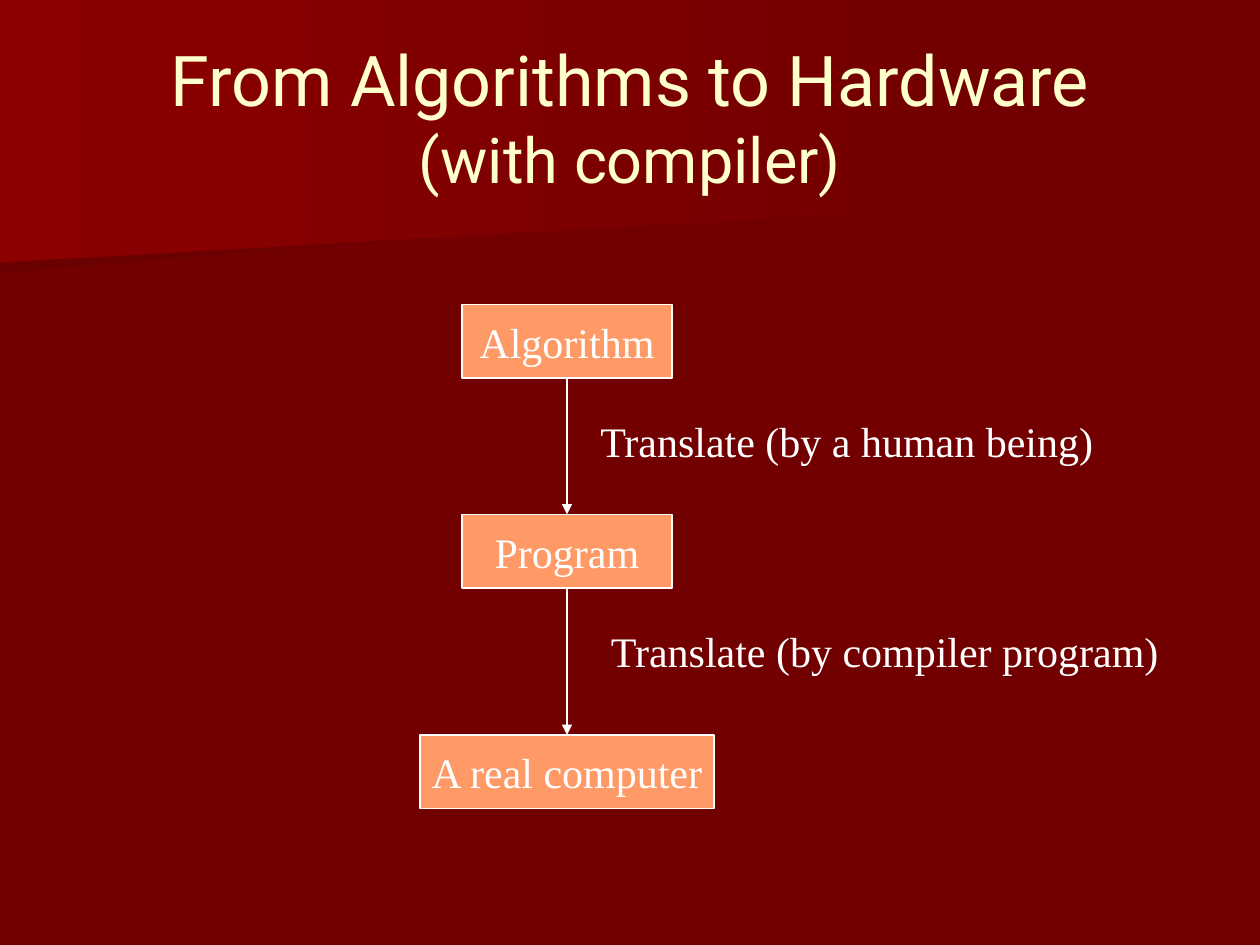
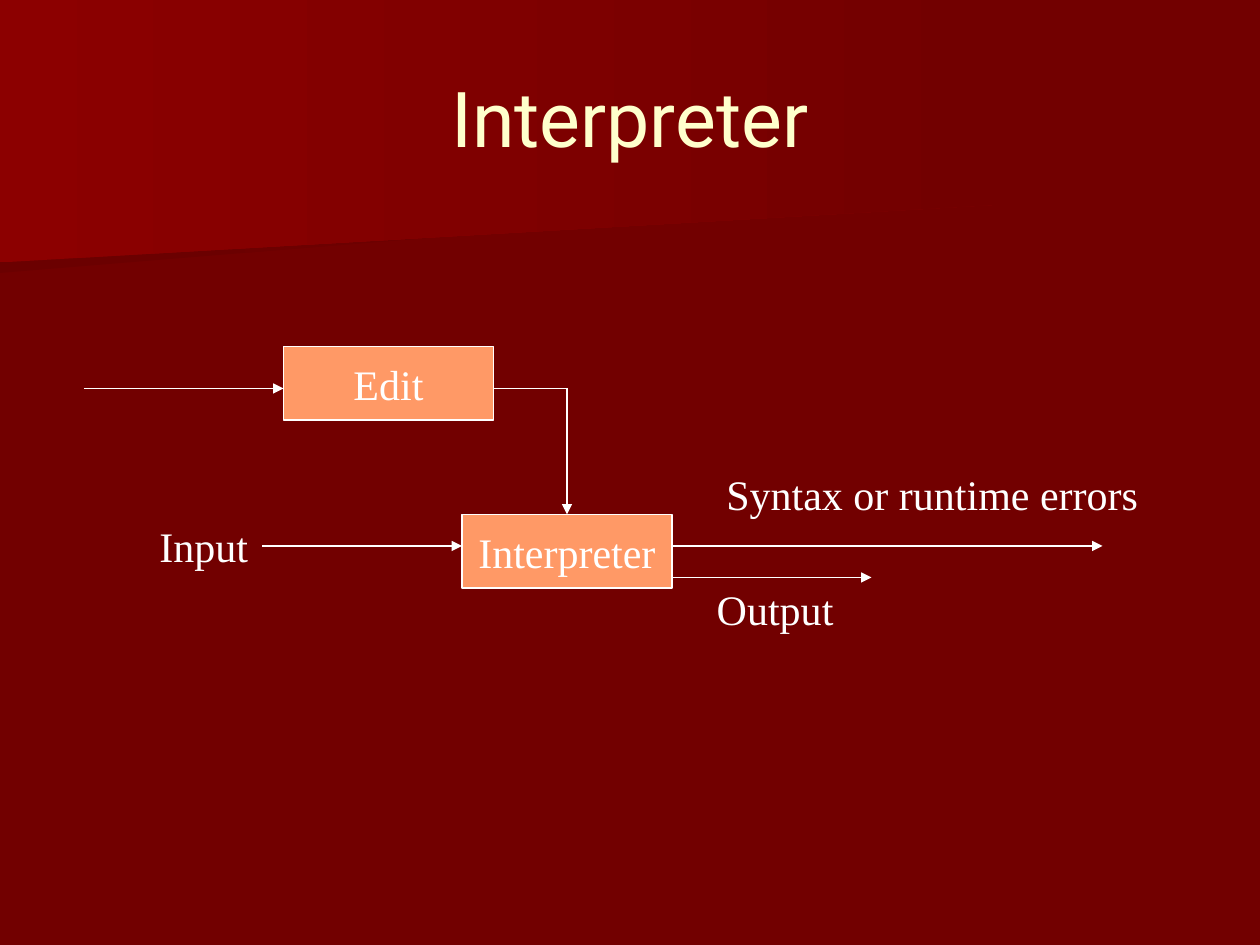
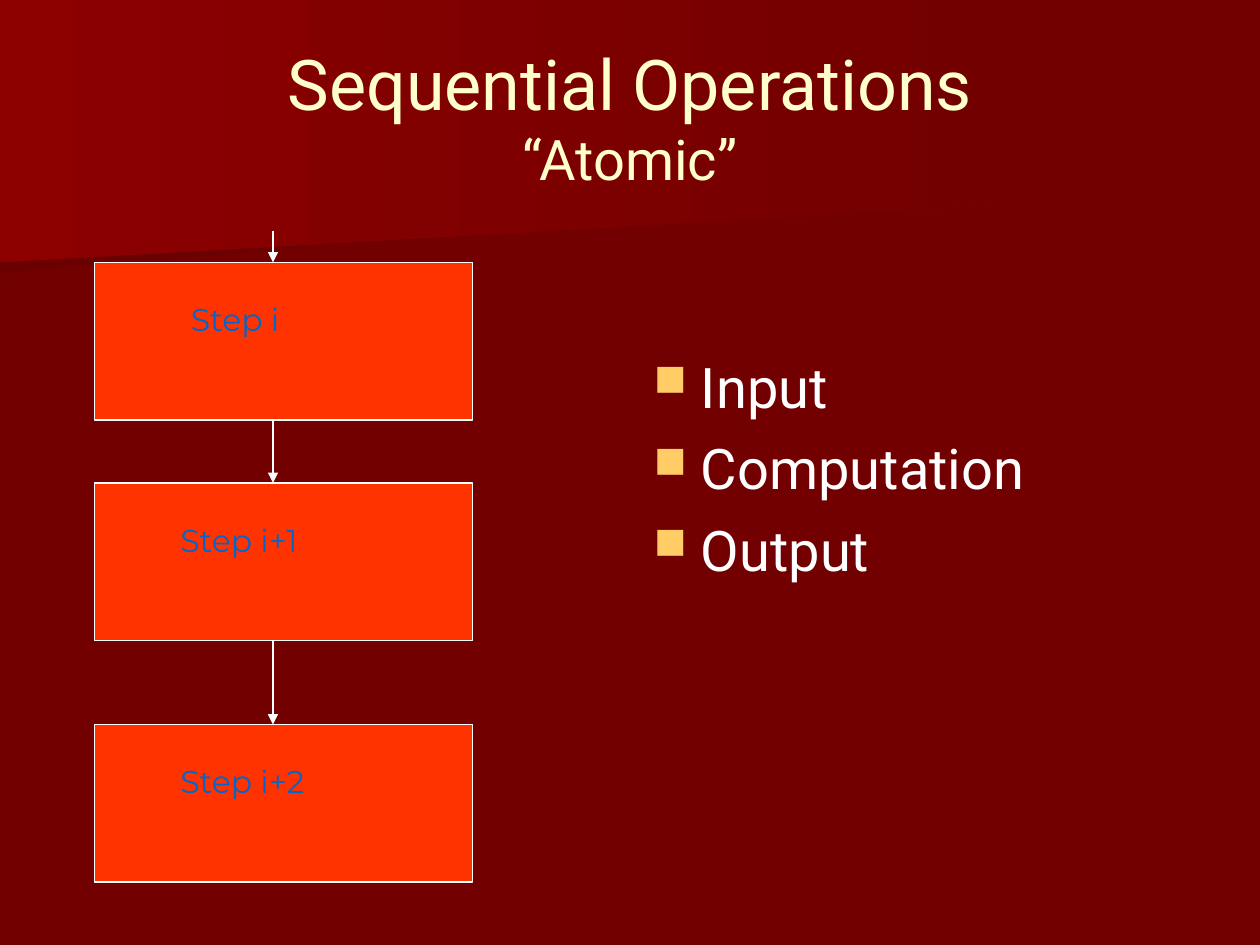
from typing import NamedTuple

from pptx import Presentation
from pptx import util as u
from pptx.dml import color
from pptx.enum import shapes, text
from pptx.oxml import ns, xmlchemy

COLORS = {
    "background": "720000",
    "band": "8C0000",
    "band_shade": "6B0000",
    "title": "FFFFCC",
    "white": "FFFFFF",
    "box": "FF9966",
    "step_box": "FF3300",
    "step_text": "0066CC",
    "bullet": "FFCC66",
}
HEADING_FONT = "Roboto"
DIAGRAM_FONT = "Times New Roman"
STEP_FONT = "Montserrat"
LINE_WIDTH = 0.75
BOX_WIDTH, BOX_HEIGHT = 120, 42
STEP_WIDTH, STEP_HEIGHT = 216, 90


class Band(NamedTuple):
    points: list[tuple[float, float]]
    start_color: str


class Style(NamedTuple):
    font: str
    size: float
    color: str


class Box(NamedTuple):
    left: float
    top: float
    caption: str = ""
    width: float = BOX_WIDTH
    height: float = BOX_HEIGHT
    color: str = "box"


class Label(NamedTuple):
    left: float
    top: float
    width: float
    caption: str
    height: float = 36


class Line(NamedTuple):
    start: tuple[float, float]
    end: tuple[float, float]
    arrow: bool = True


class TitleLine(NamedTuple):
    caption: str
    size: float


DIAGRAM_STYLE = Style(DIAGRAM_FONT, 24, "white")
STEP_STYLE = Style(STEP_FONT, 18, "step_text")
BULLET_STYLE = Style(HEADING_FONT, 32, "white")
BANDS = [
    Band([(560, 110), (0, 156), (0, 73), (561, 73), (560, 92)], "band_shade"),
    Band([(570, 117), (0, 150), (0, 0), (570, 0)], "band"),
]


def rgb(name: str) -> color.RGBColor:
    return color.RGBColor.from_string(COLORS[name])


def add_run(paragraph, caption: str, style: Style) -> None:
    run = paragraph.add_run()
    run.text = caption
    run.font.name = style.font
    run.font.size = u.Pt(style.size)
    run.font.color.rgb = rgb(style.color)


def add_child(parent, tag: str, **attributes: str):
    child = xmlchemy.OxmlElement(tag)
    for name, value in attributes.items():
        child.set(name, value)
    parent.append(child)
    return child


def add_master_bands(presentation, slide) -> None:
    master = presentation.slide_master
    master.background.fill.solid()
    master.background.fill.fore_color.rgb = rgb("background")
    for index, band in enumerate(BANDS):
        first, *others = [(u.Pt(x), u.Pt(y)) for x, y in band.points]
        builder = slide.shapes.build_freeform(*first)
        builder.add_line_segments(others, close=True)
        shape = builder.convert_to_shape()
        shape.shadow.inherit = False
        shape.line.fill.background()
        shape.fill.gradient()
        shape.fill.gradient_angle = 0
        for stop, name in zip(shape.fill.gradient_stops, (band.start_color, "background")):
            stop.color.rgb = rgb(name)
        element = shape._element
        element.nvSpPr.cNvPr.set("id", str(100 + index))
        master.shapes._spTree.insert(2 + index, element)


def add_slide(presentation, *title_lines: TitleLine):
    slide = presentation.slides.add_slide(presentation.slide_layouts[5])
    title = slide.shapes.title
    title.left, title.top, title.width, title.height = map(u.Pt, (36, 21.6, 648, 90))
    frame = title.text_frame
    frame.auto_size = text.MSO_AUTO_SIZE.NONE
    frame.vertical_anchor = text.MSO_ANCHOR.MIDDLE
    paragraph = frame.paragraphs[0]
    paragraph.alignment = text.PP_ALIGN.CENTER
    for index, line in enumerate(title_lines):
        if index:
            paragraph.add_line_break()
        add_run(paragraph, line.caption, Style(HEADING_FONT, line.size, "title"))
    return slide


def add_box(slide, box: Box) -> None:
    shape = slide.shapes.add_shape(
        shapes.MSO_SHAPE.RECTANGLE, *map(u.Pt, (box.left, box.top, box.width, box.height))
    )
    shape.shadow.inherit = False
    shape.fill.solid()
    shape.fill.fore_color.rgb = rgb(box.color)
    shape.line.color.rgb = rgb("white")
    shape.line.width = u.Pt(LINE_WIDTH)
    if box.caption:
        frame = shape.text_frame
        frame.word_wrap = False
        frame.vertical_anchor = text.MSO_ANCHOR.MIDDLE
        frame.paragraphs[0].alignment = text.PP_ALIGN.CENTER
        add_run(frame.paragraphs[0], box.caption, DIAGRAM_STYLE)


def add_label(slide, label: Label, style: Style = DIAGRAM_STYLE) -> None:
    shape = slide.shapes.add_textbox(
        *map(u.Pt, (label.left, label.top, label.width, label.height))
    )
    shape.text_frame.word_wrap = False
    add_run(shape.text_frame.paragraphs[0], label.caption, style)


def add_line(slide, line: Line) -> None:
    connector = slide.shapes.add_connector(
        shapes.MSO_CONNECTOR.STRAIGHT, *map(u.Pt, line.start + line.end)
    )
    connector.line.color.rgb = rgb("white")
    connector.line.width = u.Pt(LINE_WIDTH)
    properties = connector._element.spPr
    if line.arrow:
        add_child(properties.find(ns.qn("a:ln")), "a:tailEnd", type="triangle")
    add_child(properties, "a:effectLst")


def add_bullets(slide, captions: list[str]) -> None:
    shape = slide.shapes.add_textbox(*map(u.Pt, (366.5, 198, 241, 164)))
    frame = shape.text_frame
    frame.word_wrap = True
    for index, caption in enumerate(captions):
        paragraph = frame.add_paragraph() if index else frame.paragraphs[0]
        if index:
            paragraph.space_before = u.Pt(8)
        properties = paragraph._p.get_or_add_pPr()
        properties.set("marL", str(u.Pt(27)))
        properties.set("indent", str(u.Pt(-27)))
        bullet_color = add_child(properties, "a:buClr")
        add_child(bullet_color, "a:srgbClr", val=COLORS["bullet"])
        add_child(properties, "a:buSzPct", val="80000")
        add_child(properties, "a:buChar", char="■")
        add_run(paragraph, caption, BULLET_STYLE)


def draw_diagram(slide, boxes: list[Box], lines: list[Line], labels: list[Label]) -> None:
    for box in boxes:
        add_box(slide, box)
    for line in lines:
        add_line(slide, line)
    for label in labels:
        add_label(slide, label)


def build_compiler_slide(presentation) -> None:
    slide = add_slide(
        presentation,
        TitleLine("From Algorithms to Hardware", 40),
        TitleLine("(with compiler)", 36),
    )
    add_master_bands(presentation, slide)
    boxes = [
        Box(264, 174, "Algorithm"),
        Box(264, 294, "Program"),
        Box(240, 420, "A real computer", width=168),
    ]
    lines = [
        Line((324, upper.top + upper.height), (324, lower.top))
        for upper, lower in zip(boxes, boxes[1:])
    ]
    labels = [
        Label(336, 234, 297, "Translate (by a human being)"),
        Label(342, 354, 328, "Translate (by compiler program)"),
    ]
    draw_diagram(slide, boxes, lines, labels)


def build_interpreter_slide(presentation) -> None:
    slide = add_slide(presentation, TitleLine("Interpreter", 44))
    boxes = [Box(162, 198, "Edit"), Box(264, 294, "Interpreter")]
    lines = [
        Line((48, 222), (162, 222)),
        Line((282, 222), (324, 222), arrow=False),
        Line((324, 222), (324, 294)),
        Line((150, 312), (264, 312)),
        Line((384, 312), (630, 312)),
        Line((384, 330), (498, 330)),
    ]
    labels = [
        Label(408, 264, 250, "Syntax or runtime errors"),
        Label(84, 294, 65, "Input"),
        Label(402.5, 330, 81, "Output"),
    ]
    draw_diagram(slide, boxes, lines, labels)


def build_sequence_slide(presentation) -> None:
    slide = add_slide(
        presentation,
        TitleLine("Sequential Operations", 40),
        TitleLine("“Atomic”", 32),
    )
    add_bullets(slide, ["Input", "Computation", "Output"])
    steps = [
        Label(102, 168, 114, "Step i", 51),
        Label(96, 294, 114, "Step i+1", 51),
        Label(96, 432, 114, "Step i+2", 51),
    ]
    arrow_start = 132
    for step in steps:
        top = step.top - 18
        add_box(slide, Box(54, top, width=STEP_WIDTH, height=STEP_HEIGHT, color="step_box"))
        add_label(slide, step, STEP_STYLE)
        add_line(slide, Line((156, arrow_start), (156, top)))
        arrow_start = top + STEP_HEIGHT


def main() -> None:
    presentation = Presentation()
    presentation.slide_width = u.Pt(720)
    presentation.slide_height = u.Pt(540)
    build_compiler_slide(presentation)
    build_interpreter_slide(presentation)
    build_sequence_slide(presentation)
    presentation.save("out.pptx")


if __name__ == "__main__":
    main()
